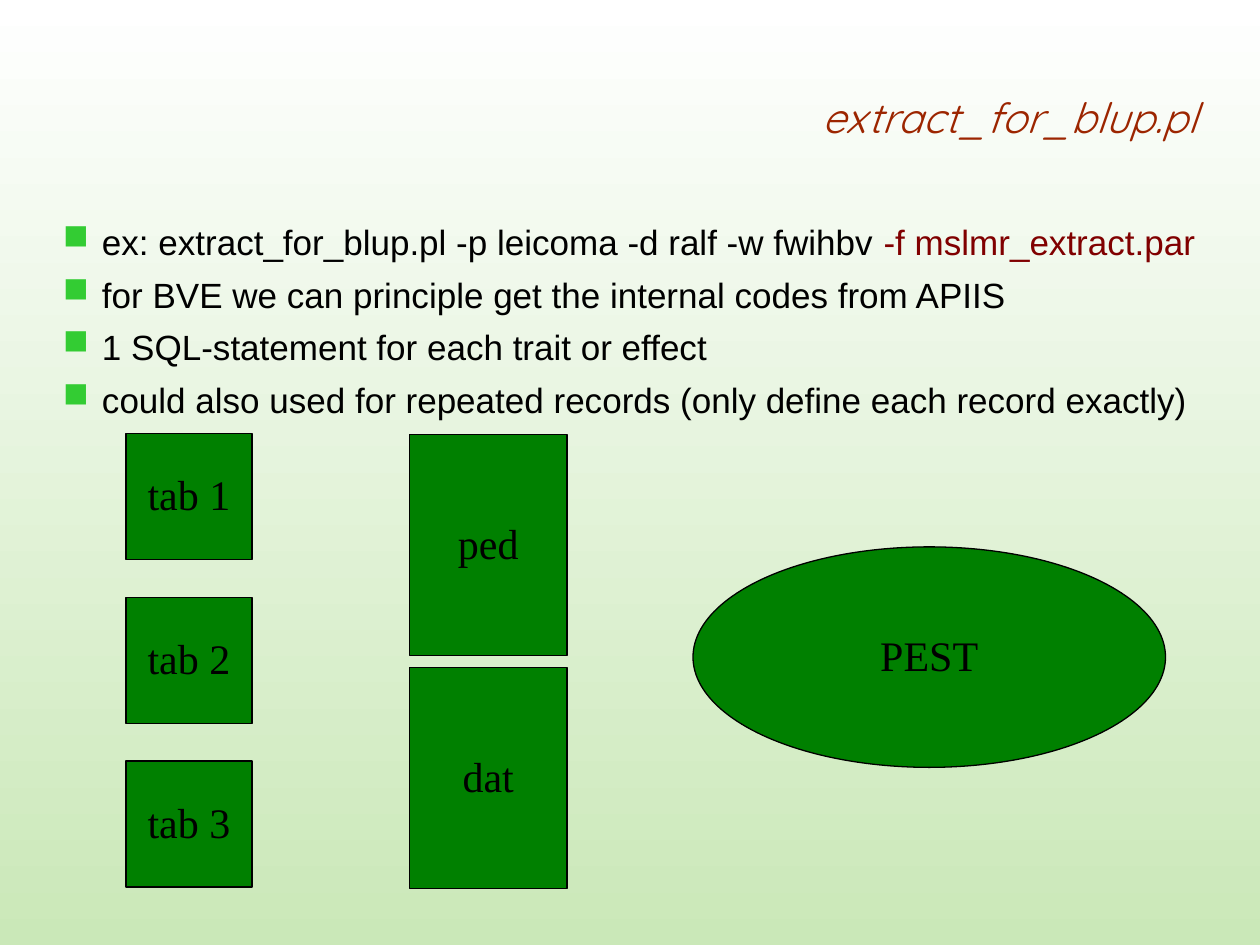
from dataclasses import dataclass

from lxml.etree import SubElement as Sub
from pptx import Presentation
from pptx.dml.color import RGBColor as Rgb
from pptx.enum.shapes import MSO_SHAPE as Kind
from pptx.enum.text import MSO_ANCHOR as Anchor, PP_ALIGN as Align
from pptx.oxml.ns import qn
from pptx.util import Inches, Pt

HUES = {
    "top": "FFFFFF", "base": "CAE8B8", "title": "9C2500", "text": "000000",
    "param": "800000", "bullet": "33CC33", "box": "008000",
}


@dataclass
class Node:
    text: str
    left: float
    top: float
    width: float
    height: float
    kind: Kind = Kind.RECTANGLE


def hue(name: str) -> Rgb:
    return Rgb.from_string(HUES[name])


def add_run(para, text: str, *, size: float, font: str,
            color: str = "text", italic: bool = False) -> None:
    run = para.add_run()
    run.text = text
    run.font.size = Pt(size)
    run.font.name = font
    run.font.italic = italic
    run.font.color.rgb = hue(color)


def add_frame(slide, left: float, top: float, width: float, height: float):
    box = slide.shapes.add_textbox(
        Inches(left), Inches(top), Inches(width), Inches(height))
    frame = box.text_frame
    frame.word_wrap = True
    frame.margin_left = frame.margin_right = 0
    frame.margin_top = frame.margin_bottom = 0
    return frame


def add_bullet(para) -> None:
    props = para._p.get_or_add_pPr()
    props.set("marL", str(Inches(0.31)))
    props.set("indent", str(-Inches(0.31)))
    color = Sub(props, qn("a:buClr"))
    Sub(color, qn("a:srgbClr"), val=HUES["bullet"])
    Sub(props, qn("a:buChar"), char="■")


def add_node(slide, node: Node) -> None:
    shape = slide.shapes.add_shape(
        node.kind, Inches(node.left), Inches(node.top),
        Inches(node.width), Inches(node.height))
    shape.shadow.inherit = False
    shape.fill.solid()
    shape.fill.fore_color.rgb = hue("box")
    shape.line.color.rgb = hue("text")
    shape.line.width = Pt(0)
    frame = shape.text_frame
    frame.vertical_anchor = Anchor.MIDDLE
    para = frame.paragraphs[0]
    para.alignment = Align.CENTER
    para.line_spacing = 0.93
    add_run(para, node.text, size=24, font="Times New Roman")


def main() -> None:
    deck = Presentation()
    deck.slide_width, deck.slide_height = Inches(10), Inches(7.5)
    slide = deck.slides.add_slide(deck.slide_layouts[6])

    # Background, white at the top to green at the bottom
    fill = slide.background.fill
    fill.gradient()
    fill.gradient_angle = 270
    for stop, name, place in zip(fill.gradient_stops, ("top", "base"), (0, 1)):
        stop.color.rgb = hue(name)
        stop.position = place

    # Title
    frame = add_frame(slide, 0.5, 0.35, 9, 1.15)
    frame.vertical_anchor = Anchor.MIDDLE
    para = frame.paragraphs[0]
    para.alignment = Align.RIGHT
    add_run(para, "extract_for_blup.pl", size=24, font="Quicksand",
            color="title", italic=True)

    # Bullet list, each line made of (text, colour) parts
    lines = [
        [("ex: extract_for_blup.pl -p leicoma -d ralf -w fwihbv ", "text"),
         ("-f mslmr_extract.par", "param")],
        [("for BVE we can principle get the internal codes from APIIS", "text")],
        [("1 SQL-statement for each trait or effect", "text")],
        [("could also used for repeated records "
          "(only define each record exactly)", "text")],
    ]
    frame = add_frame(slide, 0.5, 1.75, 9, 4.85)
    for i, line in enumerate(lines):
        para = frame.add_paragraph() if i else frame.paragraphs[0]
        add_bullet(para)
        para.space_after = Pt(6)
        for text, color in line:
            add_run(para, text, size=20, font="Arial", color=color)

    # Tables, data files and the program they feed
    nodes = [Node(f"tab {i + 1}", 1, 3.44 + 1.3 * i, 1, 1) for i in range(3)]
    nodes += [Node(text, 3.25, 3.45 + 1.85 * i, 1.25, 1.75)
              for i, text in enumerate(("ped", "dat"))]
    nodes.append(Node("PEST", 5.5, 4.34, 3.75, 1.75, Kind.OVAL))
    for node in nodes:
        add_node(slide, node)

    deck.save("out.pptx")


if __name__ == "__main__":
    main()
